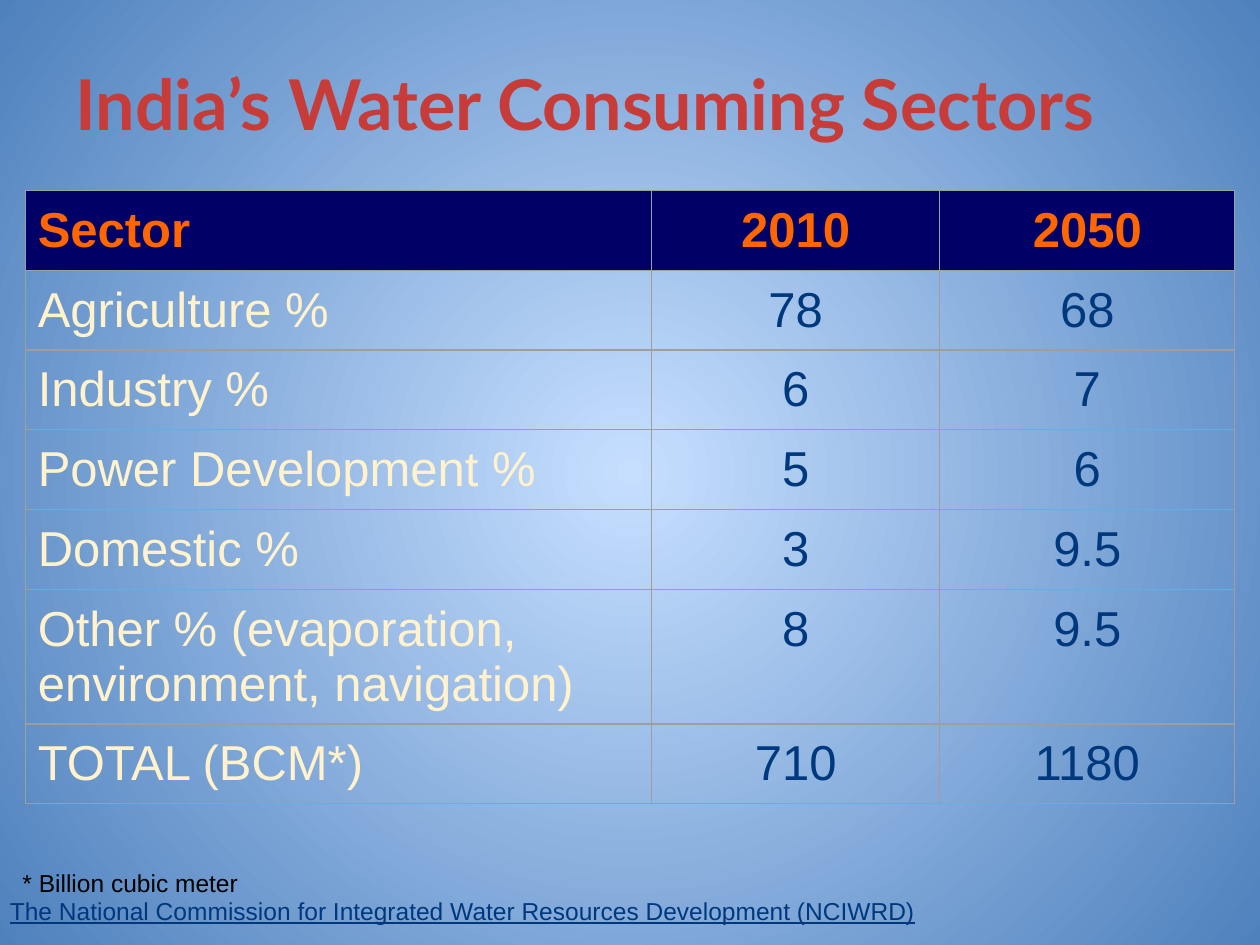
from dataclasses import dataclass

from lxml import etree
from pptx import Presentation
from pptx.dml.color import RGBColor
from pptx.enum.text import MSO_ANCHOR, PP_ALIGN
from pptx.oxml.ns import qn
from pptx.util import Inches, Pt

LEFT, CENTER = PP_ALIGN.LEFT, PP_ALIGN.CENTER
BOTTOM, MIDDLE, TOP = MSO_ANCHOR.BOTTOM, MSO_ANCHOR.MIDDLE, MSO_ANCHOR.TOP


@dataclass(frozen=True)
class Theme:
    bg_inner: str = "C6DFFF"
    bg_outer: str = "4F81BD"
    title: str = "C73C39"
    header: str = "FF6600"
    header_fill: str = "000066"
    label: str = "FFF2CC"
    value: str = "00387E"
    note: str = "000000"
    border: str = "9E9E9E"
    title_font: str = "Lato"
    body_font: str = "Arial"
    title_size: int = 40
    table_size: int = 28
    note_size: int = 14


T = Theme()
ROWS = [
    ("Sector", "2010", "2050"),
    ("Agriculture %", "78", "68"),
    ("Industry %", "6", "7"),
    ("Power Development %", "5", "6"),
    ("Domestic %", "3", "9.5"),
    ("Other % (evaporation, environment, navigation)", "8", "9.5"),
    ("TOTAL (BCM*)", "710", "1180"),
]
COL_WIDTHS = [4.97, 2.29, 2.34]
ROW_HEIGHT = 0.42


def set_margins(box):
    box.margin_left = box.margin_right = Inches(0.1)
    box.margin_top = box.margin_bottom = Inches(0.1)


def set_text(tf, text, size, color, font=T.body_font, bold=False, underline=False, align=LEFT):
    tf.text = text
    p = tf.paragraphs[0]
    p.alignment = align
    f = p.runs[0].font
    f.name, f.size, f.bold, f.underline = font, Pt(size), bold, underline
    f.color.rgb = RGBColor.from_string(color)


def set_background(s):
    fill = s.background.fill
    fill.gradient()
    for stop, position, color in zip(fill.gradient_stops, (0, 1), (T.bg_inner, T.bg_outer)):
        stop.position = position
        stop.color.rgb = RGBColor.from_string(color)
    grad = s.element.find(".//" + qn("a:gradFill"))
    grad.remove(grad.find(qn("a:lin")))
    circle = etree.SubElement(grad, qn("a:path"), path="circle")
    etree.SubElement(circle, qn("a:fillToRect"), l="50000", t="50000", r="50000", b="50000")


def add_title(s, text):
    sp = s.shapes.title
    sp.left, sp.top, sp.width, sp.height = (Inches(v) for v in (0.5, 0.17, 9, 1.08))
    tf = sp.text_frame
    set_margins(tf)
    tf.vertical_anchor = BOTTOM
    set_text(tf, text, T.title_size, T.title, T.title_font, bold=True)


def add_borders(cell):
    tc_pr = cell._tc.get_or_add_tcPr()
    for side in ("lnL", "lnR", "lnT", "lnB"):
        ln = etree.SubElement(tc_pr, qn(f"a:{side}"), w=str(Pt(0.75)))
        fill = etree.SubElement(ln, qn("a:solidFill"))
        etree.SubElement(fill, qn("a:srgbClr"), val=T.border)


def format_cell(cell, text, is_header, is_label):
    set_margins(cell)
    cell.vertical_anchor = TOP
    add_borders(cell)
    if is_header:
        cell.fill.solid()
        cell.fill.fore_color.rgb = RGBColor.from_string(T.header_fill)
    else:
        cell.fill.background()
    color = T.header if is_header else T.label if is_label else T.value
    set_text(cell.text_frame, text, T.table_size, color, bold=is_header,
             align=LEFT if is_label else CENTER)


def add_sector_table(s):
    table = s.shapes.add_table(
        len(ROWS), len(COL_WIDTHS), Inches(0.2), Inches(1.51),
        Inches(sum(COL_WIDTHS)), Inches(ROW_HEIGHT * len(ROWS))).table
    table.horz_banding = False
    for column, width in zip(table.columns, COL_WIDTHS):
        column.width = Inches(width)
    for r, row in enumerate(ROWS):
        table.rows[r].height = Inches(ROW_HEIGHT)
        for c, text in enumerate(row):
            format_cell(table.cell(r, c), text, r == 0, c == 0)


def add_note(s, text, left, top, width, color, underline=False):
    sp = s.shapes.add_textbox(Inches(left), Inches(top), Inches(width), Inches(0.53))
    tf = sp.text_frame
    tf.word_wrap = True
    tf.vertical_anchor = MIDDLE
    set_margins(tf)
    set_text(tf, text, T.note_size, color, underline=underline)


def main():
    prs = Presentation()
    prs.slide_width, prs.slide_height = Inches(10), Inches(7.5)
    s = prs.slides.add_slide(prs.slide_layouts[5])
    set_background(s)
    add_title(s, "India’s Water Consuming Sectors")
    add_sector_table(s)
    add_note(s, "The National Commission for Integrated Water Resources Development (NCIWRD)",
             -0.02, 6.96, 7.82, T.value, underline=True)
    add_note(s, "* Billion cubic meter", 0.08, 6.74, 3.28, T.note)
    prs.save("out.pptx")


if __name__ == "__main__":
    main()
